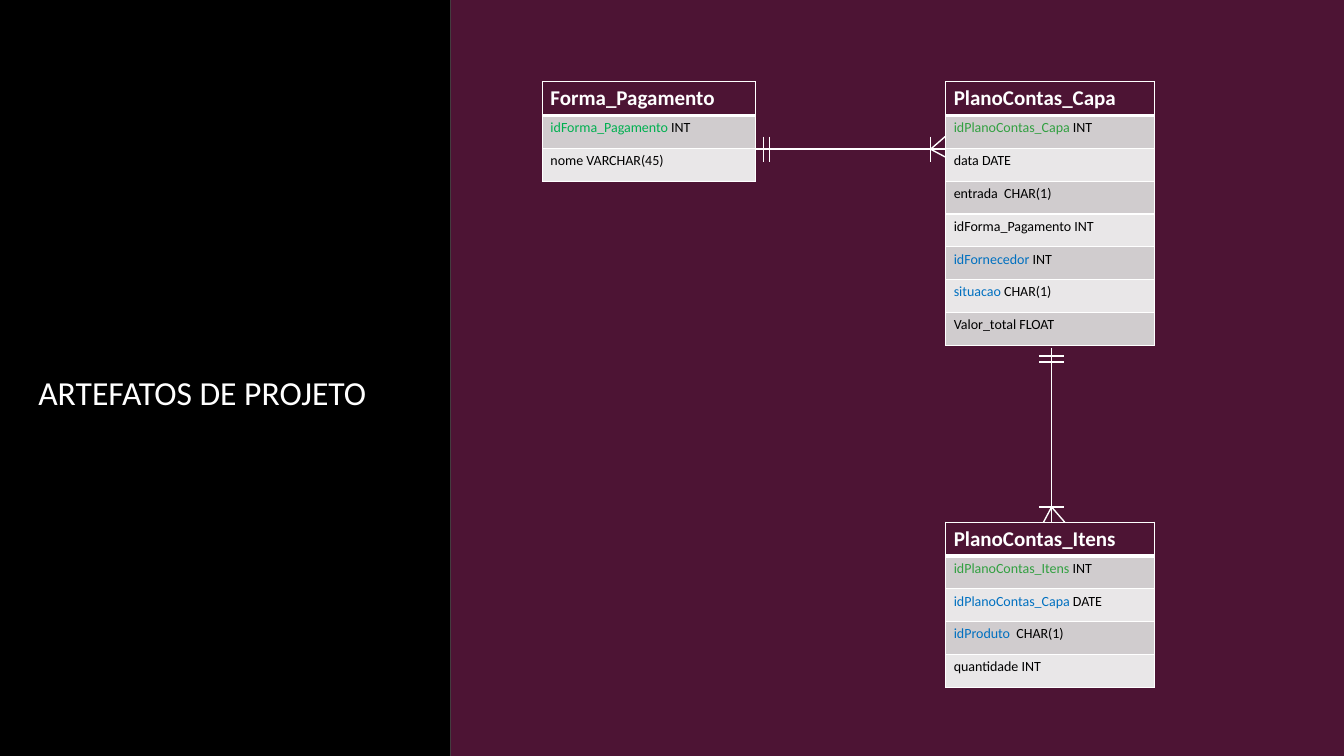
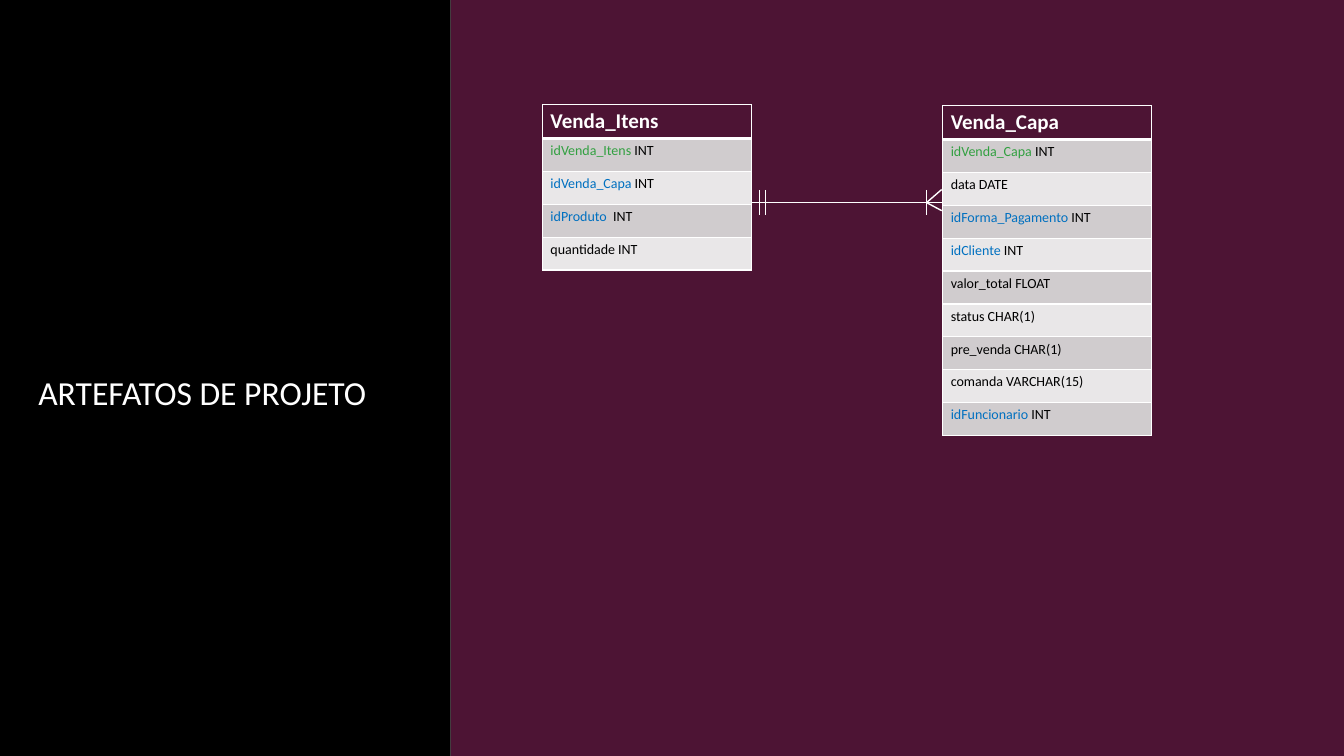
import lxml.etree
import pptx
import pptx.dml.color
import pptx.enum.shapes
import pptx.enum.text
import pptx.oxml.ns
import pptx.util

Inches = pptx.util.Inches
Pt = pptx.util.Pt

FONT = "Calibri"
PURPLE, BLACK, WHITE = "4D1434", "000000", "FFFFFF"
BANDS = ("D0CCCE", "E9E7E8")
BRIGHT_GREEN, GREEN, BLUE = "00B050", "32A041", "0070C0"
SLIDE_WIDTH, SLIDE_HEIGHT, SIDEBAR_WIDTH = 13.33, 7.5, 4.47
TABLE_WIDTH = 2.07
ROW_HEIGHT = 3.26 / 10

PAYMENT_METHOD = ("Forma_Pagamento", [
    ("idForma_Pagamento INT", BRIGHT_GREEN),
    ("nome VARCHAR(45)", BLACK),
])
ACCOUNT_HEADER = ("PlanoContas_Capa", [
    ("idPlanoContas_Capa INT", GREEN),
    ("data DATE", BLACK),
    ("entrada  CHAR(1)", BLACK),
    ("idForma_Pagamento INT", BLACK),
    ("idFornecedor INT", BLUE),
    ("situacao CHAR(1)", BLUE),
    ("Valor_total FLOAT", BLACK),
])
ACCOUNT_ITEMS = ("PlanoContas_Itens", [
    ("idPlanoContas_Itens INT", GREEN),
    ("idPlanoContas_Capa DATE", BLUE),
    ("idProduto  CHAR(1)", BLUE),
    ("quantidade INT", BLACK),
])
SALE_ITEMS = ("Venda_Itens", [
    ("idVenda_Itens INT", GREEN),
    ("idVenda_Capa INT", BLUE),
    ("idProduto  INT", BLUE),
    ("quantidade INT", BLACK),
])
SALE_HEADER = ("Venda_Capa", [
    ("idVenda_Capa INT", GREEN),
    ("data DATE", BLACK),
    ("idForma_Pagamento INT", BLUE),
    ("idCliente INT", BLUE),
    ("valor_total FLOAT", BLACK),
    ("status CHAR(1)", BLACK),
    ("pre_venda CHAR(1)", BLACK),
    ("comanda VARCHAR(15)", BLACK),
    ("idFuncionario INT", BLUE),
])


def rgb(value):
    """Turn a hex string into a colour."""
    return pptx.dml.color.RGBColor.from_string(value)


def style_font(font, size, colour, bold=False):
    """Set the face, size, colour and weight of a font."""
    font.name, font.size, font.bold = FONT, Pt(size), bold
    font.color.rgb = rgb(colour)


def add_panel(page, left, width, colour):
    """Fill a full-height band of the slide."""
    panel = page.shapes.add_shape(
        pptx.enum.shapes.MSO_SHAPE.RECTANGLE,
        Inches(left), 0, Inches(width), Inches(SLIDE_HEIGHT))
    panel.shadow.inherit = False
    panel.fill.solid()
    panel.fill.fore_color.rgb = rgb(colour)
    panel.line.fill.background()


def add_page(deck):
    """Add a slide with the two panels and the title."""
    page = deck.slides.add_slide(deck.slide_layouts[5])
    add_panel(page, SIDEBAR_WIDTH, SLIDE_WIDTH - SIDEBAR_WIDTH, PURPLE)
    add_panel(page, 0, SIDEBAR_WIDTH, BLACK)
    title = page.shapes.title
    page.shapes.element.append(title.element)
    title.left, title.top = Inches(0.28), Inches(3.27)
    title.width, title.height = Inches(3.91), Inches(0.87)
    frame = title.text_frame
    frame.text = "ARTEFATOS DE PROJETO"
    frame.word_wrap = True
    frame.auto_size = pptx.enum.text.MSO_AUTO_SIZE.NONE
    frame.vertical_anchor = pptx.enum.text.MSO_ANCHOR.BOTTOM
    para = frame.paragraphs[0]
    para.alignment = pptx.enum.text.PP_ALIGN.LEFT
    style_font(para.runs[0].font, 24, WHITE)
    return page


def style_cell(cell, fill, top, bottom):
    """Set a cell's margins, white borders and fill."""
    cell.margin_left = cell.margin_right = Inches(0.08)
    cell.margin_top = cell.margin_bottom = Inches(0.04)
    properties = cell._tc.get_or_add_tcPr()
    qn = pptx.oxml.ns.qn
    for side, weight in (("L", 1), ("R", 1), ("T", top), ("B", bottom)):
        border = lxml.etree.SubElement(properties, qn("a:ln" + side), w=str(Pt(weight)))
        paint = lxml.etree.SubElement(border, qn("a:solidFill"))
        lxml.etree.SubElement(paint, qn("a:srgbClr"), val=WHITE)
    cell.fill.solid()
    cell.fill.fore_color.rgb = rgb(fill)


def add_entity(page, left, top, entity, width=TABLE_WIDTH):
    """Draw a database table with its name and fields."""
    name, fields = entity
    count = len(fields) + 1
    table = page.shapes.add_table(
        count, 1, Inches(left), Inches(top),
        Inches(width), Inches(ROW_HEIGHT * count)).table
    table.horz_banding = False
    for row in table.rows:
        row.height = Inches(ROW_HEIGHT)
    header = table.cell(0, 0)
    style_cell(header, PURPLE, 1, 3)
    header.text_frame.text = name
    style_font(header.text_frame.paragraphs[0].runs[0].font, 15, WHITE, True)
    for index, (field, colour) in enumerate(fields):
        cell = table.cell(index + 1, 0)
        style_cell(cell, BANDS[index % 2], 3 if index == 0 else 1, 1)
        para = cell.text_frame.paragraphs[0]
        column, space, kind = field.partition(" ")
        parts = [(field, BLACK)] if colour == BLACK else [(column, colour), (space + kind, BLACK)]
        for text, shade in parts:
            span = para.add_run()
            span.text = text
            style_font(span.font, 10, shade)


def add_line(group, start, end):
    """Draw a thin white line between two points."""
    line = group.shapes.add_connector(
        pptx.enum.shapes.MSO_CONNECTOR.STRAIGHT,
        *(Inches(value) for value in (*start, *end)))
    line.line.color.rgb = rgb(WHITE)
    line.line.width = Pt(1)
    lxml.etree.SubElement(line._element.spPr, pptx.oxml.ns.qn("a:effectLst"))


def add_relation(page, left, top, length, vertical=False):
    """Draw a one-to-many line with its bars and crow's foot."""
    group = page.shapes.add_group_shape()
    foot, half_bar = length - 0.15, 0.125
    side = 1 if vertical else -1

    def place(along, across):
        """Turn a distance along and across the line into a point."""
        return (left + across, top + along) if vertical else (left + along, top + across)

    add_line(group, place(0, 0), place(length, 0))
    for along in (0.08, 0.14, foot):
        add_line(group, place(along, -half_bar), place(along, half_bar))
    for across in (0.13 * side, -0.08 * side):
        add_line(group, place(foot, 0), place(length, across))


def build_accounts_page(deck):
    """Build the slide of the account plan tables."""
    page = add_page(deck)
    add_entity(page, 5.38, 0.81, PAYMENT_METHOD, 2.11)
    add_entity(page, 9.38, 0.81, ACCOUNT_HEADER)
    add_entity(page, 9.38, 5.18, ACCOUNT_ITEMS)
    add_relation(page, 7.49, 1.48, 1.89)
    add_relation(page, 10.43, 3.45, 1.73, vertical=True)


def build_sales_page(deck):
    """Build the slide of the sales tables."""
    page = add_page(deck)
    add_entity(page, 5.38, 1.04, SALE_ITEMS)
    add_entity(page, 9.35, 1.05, SALE_HEADER)
    add_relation(page, 7.45, 2.01, 1.89)


def main():
    """Build and save the deck."""
    deck = pptx.Presentation()
    deck.slide_width, deck.slide_height = Inches(SLIDE_WIDTH), Inches(SLIDE_HEIGHT)
    build_accounts_page(deck)
    build_sales_page(deck)
    deck.save("out.pptx")


if __name__ == "__main__":
    main()
